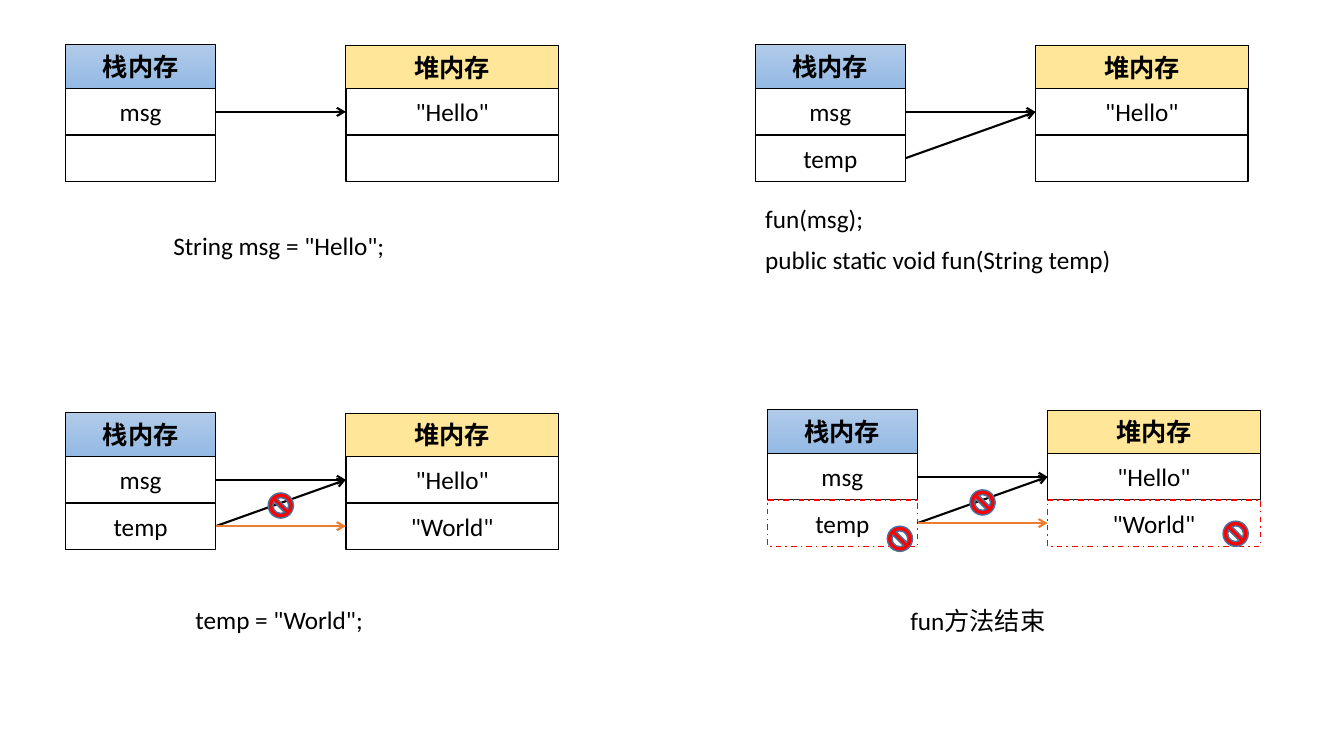
import pptx
import pptx.dml.color
import pptx.enum.dml
import pptx.enum.shapes
import pptx.enum.text
import pptx.oxml
import pptx.util

PX = 9144  # 100 px to the inch
SHAPES = pptx.enum.shapes.MSO_SHAPE
ALIGN = pptx.enum.text.PP_ALIGN
HEX = {"black": "000000", "white": "FFFFFF", "heap": "FFE699",
       "stack_top": "B1CBE9", "stack_bottom": "93B9E4",
       "orange": "ED7D31", "red": "FF0000", "ban_edge": "43739E"}
COLORS = {name: pptx.dml.color.RGBColor.from_string(value) for name, value in HEX.items()}

STACK_WIDTH, HEAP_WIDTH, HEAP_OFFSET = 149, 211, 278
HEADER_HEIGHT, ROW_HEIGHT = 44, 46
FIRST_ROW, SECOND_ROW = HEADER_HEIGHT, HEADER_HEIGHT + ROW_HEIGHT
FIRST_MIDDLE, SECOND_MIDDLE = FIRST_ROW + ROW_HEIGHT // 2, SECOND_ROW + ROW_HEIGHT // 2
BAN_SIZE = 25

deck = pptx.Presentation()
deck.slide_width, deck.slide_height = 1333 * PX, 750 * PX
slide = deck.slides.add_slide(deck.slide_layouts[6])


def write(holder, text, bold=False, align=ALIGN.LEFT, wrap=True,
          anchor=pptx.enum.text.MSO_ANCHOR.TOP):
    frame = holder.text_frame
    frame.word_wrap = wrap
    frame.vertical_anchor = anchor
    paragraph = frame.paragraphs[0]
    paragraph.alignment = align
    run = paragraph.add_run()
    run.text = text
    run.font.name = "Calibri"
    run.font.size = pptx.util.Pt(18)
    run.font.bold = bold
    run.font.color.rgb = COLORS["black"]


def add_part(left, top, width, height, text="", kind=SHAPES.RECTANGLE,
             fill="white", edge="black", weight=1, bold=False, dashed=False):
    """Draw a memory cell or a sign; a pair of fills makes a vertical gradient."""
    part = slide.shapes.add_shape(kind, left * PX, top * PX, width * PX, height * PX)
    part.shadow.inherit = False
    if isinstance(fill, tuple):
        part.fill.gradient()
        part.fill.gradient_angle = 270
        for stop, name in zip(part.fill.gradient_stops, fill):
            stop.color.rgb = COLORS[name]
    else:
        part.fill.solid()
        part.fill.fore_color.rgb = COLORS[fill]
    part.line.color.rgb = COLORS[edge]
    part.line.width = pptx.util.Pt(weight)
    if dashed:
        part.line.dash_style = pptx.enum.dml.MSO_LINE.DASH_DOT
    if text:
        write(part, text, bold=bold, align=ALIGN.CENTER,
              anchor=pptx.enum.text.MSO_ANCHOR.MIDDLE)


# Arrows: start height, end height, colour; all run from stack to heap
msg_arrow = (FIRST_MIDDLE, FIRST_MIDDLE, "black")
shared_arrow = (SECOND_MIDDLE, FIRST_MIDDLE, "black")
world_arrow = (SECOND_MIDDLE, SECOND_MIDDLE, "orange")
cut_link = (201, 80)

# left, top, second stack cell, second heap cell, released, arrows, ban signs
stages = [
    (65, 44, "", "", False, [msg_arrow], []),
    (749, 44, "temp", "", False, [msg_arrow, shared_arrow], []),
    (65, 409, "temp", '"World"', False, [msg_arrow, shared_arrow, world_arrow], [cut_link]),
    (761, 406, "temp", '"World"', True, [msg_arrow, shared_arrow, world_arrow],
     [cut_link, (119, 116), (452, 111)]),
]

for left, top, stack_text, heap_text, released, arrows, bans in stages:
    heap_left = left + HEAP_OFFSET
    add_part(left, top, STACK_WIDTH, HEADER_HEIGHT, "栈内存",
             fill=("stack_top", "stack_bottom"), weight=0.5, bold=True)
    add_part(heap_left, top + 1, HEAP_WIDTH, HEADER_HEIGHT - 1, "堆内存",
             fill="heap", weight=0.5, bold=True)
    add_part(left, top + FIRST_ROW, STACK_WIDTH, ROW_HEIGHT, "msg")
    add_part(heap_left, top + FIRST_ROW, HEAP_WIDTH, ROW_HEIGHT, '"Hello"')
    second_edge = "red" if released else "black"
    add_part(heap_left, top + SECOND_ROW, HEAP_WIDTH, ROW_HEIGHT, heap_text,
             edge=second_edge, dashed=released)
    add_part(left, top + SECOND_ROW, STACK_WIDTH, ROW_HEIGHT, stack_text,
             edge=second_edge, dashed=released)

    for start, end, color in arrows:
        arrow = slide.shapes.add_connector(
            pptx.enum.shapes.MSO_CONNECTOR.STRAIGHT, (left + STACK_WIDTH) * PX,
            (top + start) * PX, heap_left * PX, (top + end) * PX)
        arrow.line.color.rgb = COLORS[color]
        arrow.line.width = pptx.util.Pt(1.5)
        head = pptx.oxml.parse_xml(
            '<a:tailEnd xmlns:a="http://schemas.openxmlformats.org/drawingml/2006/main"'
            ' type="arrow"/>')
        arrow.line._get_or_add_ln().append(head)
        arrow._element.spPr.append(pptx.oxml.parse_xml(
            '<a:effectLst xmlns:a="http://schemas.openxmlformats.org/drawingml/2006/main"/>'))

    for across, down in bans:
        add_part(left + across, top + down, BAN_SIZE, BAN_SIZE,
                 kind=SHAPES.NO_SYMBOL, fill="red", edge="ban_edge")

captions = [
    (162, 224, 232, 'String msg = "Hello";', False),
    (749, 197, 119, "fun(msg);", False),
    (749, 237, 374, "public static void fun(String temp)", False),
    (184, 595, 188, 'temp = "World";', False),
    (893, 596, 156, "fun方法结束", True),
]
for left, top, width, text, wrap in captions:
    caption = slide.shapes.add_textbox(left * PX, top * PX, width * PX, 40 * PX)
    write(caption, text, wrap=wrap)

deck.save("out.pptx")
